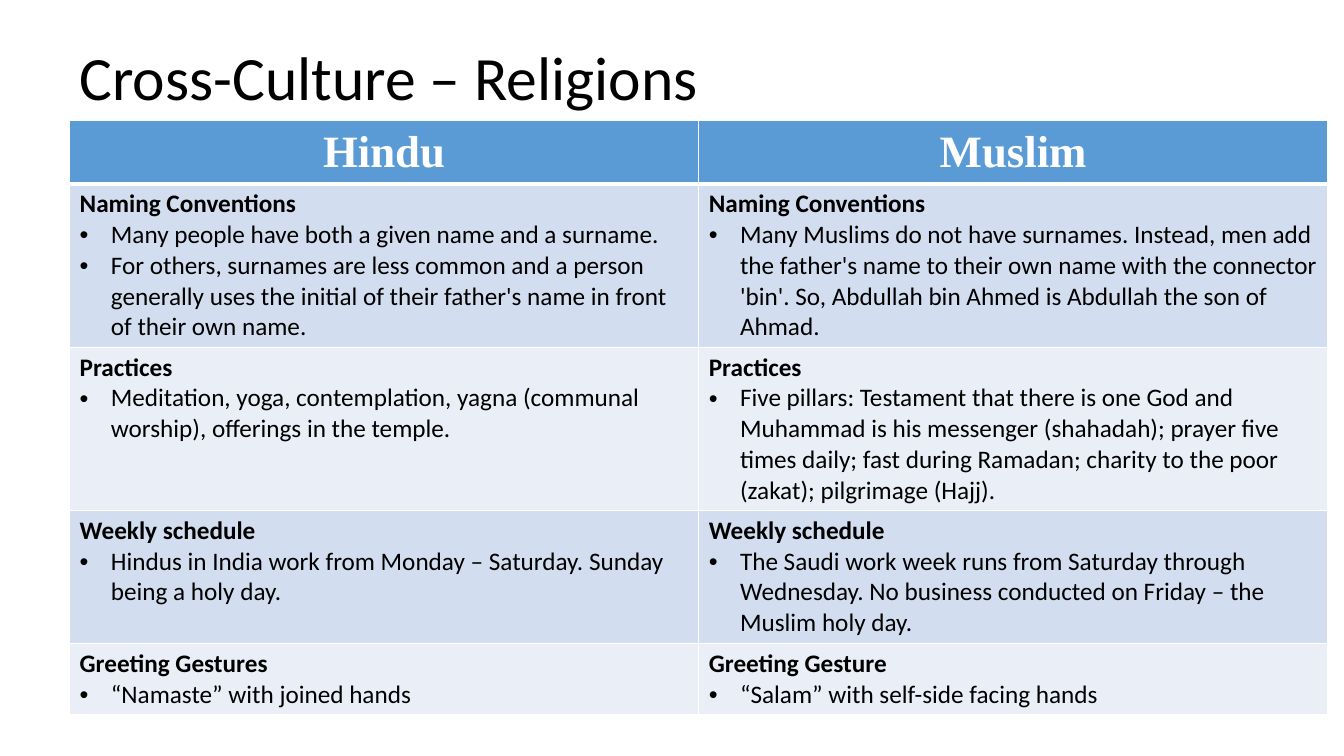
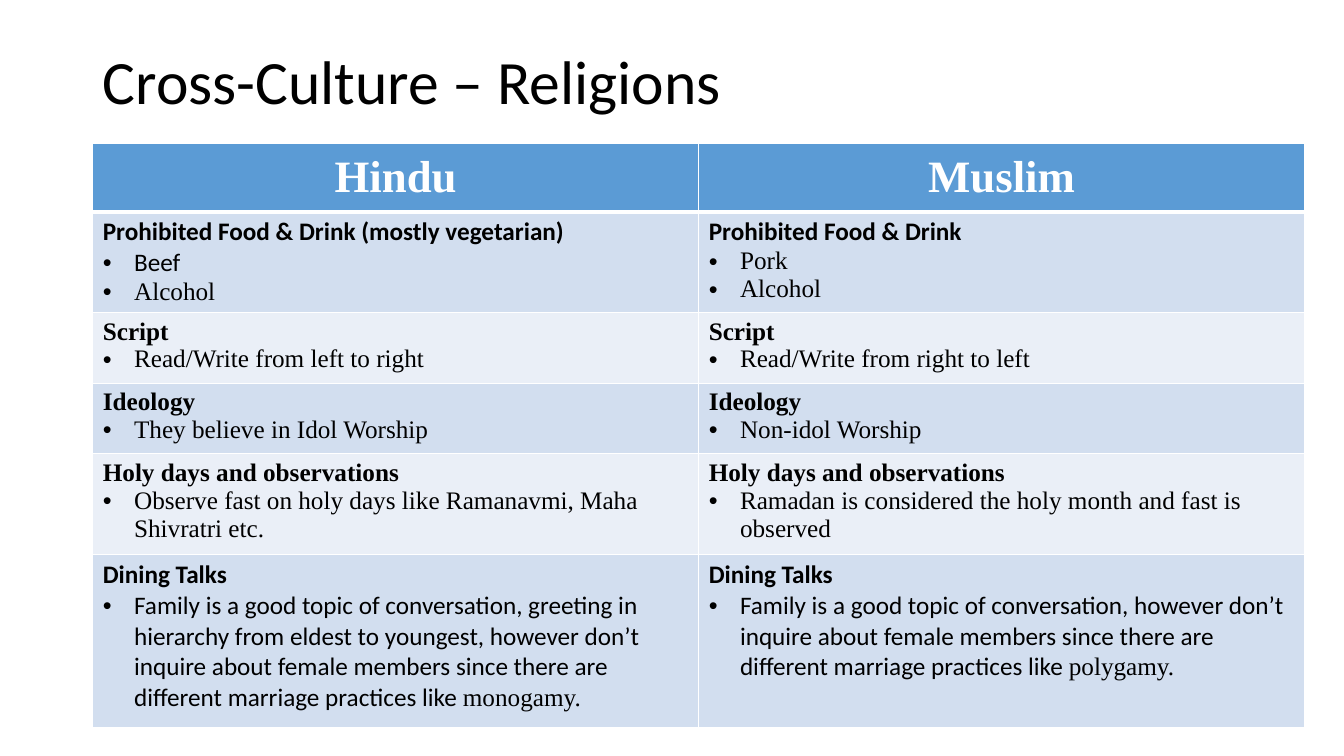
from lxml.etree import SubElement
from pptx import Presentation
from pptx.dml.color import RGBColor
from pptx.enum.text import MSO_ANCHOR, PP_ALIGN
from pptx.oxml import parse_xml
from pptx.oxml.ns import nsdecls, qn
from pptx.util import Inches, Pt

SANS, SERIF = "Calibri", "Times New Roman"
BLACK, WHITE = "000000", "FFFFFF"
HEADER_FILL = "5B9BD5"
BAND_FILLS = ("D2DEEF", "EAEFF7")
TITLE = "Cross-Culture – Religions"
RELIGIONS = ("Hindu", "Muslim")
INDENT = Inches(0.31)


def color(hex_text):
    return RGBColor.from_string(hex_text)


def serif(text):
    return text, SERIF


# Each row holds one cell per religion; a cell is a heading and its bullets.
# A paragraph is a string, a serif run, or a list of such runs.
CUSTOMS = [
    (["Naming Conventions",
      "Many people have both a given name and a surname.",
      "For others, surnames are less common and a person generally uses the "
      "initial of their father's name in front of their own name."],
     ["Naming Conventions",
      "Many Muslims do not have surnames. Instead, men add the father's name "
      "to their own name with the connector 'bin'. So, Abdullah bin Ahmed is "
      "Abdullah the son of Ahmad."]),
    (["Practices",
      "Meditation, yoga, contemplation, yagna (communal worship), offerings "
      "in the temple."],
     ["Practices",
      "Five pillars: Testament that there is one God and Muhammad is his "
      "messenger (shahadah); prayer five times daily; fast during Ramadan; "
      "charity to the poor (zakat); pilgrimage (Hajj)."]),
    (["Weekly schedule",
      "Hindus in India work from Monday – Saturday. Sunday being a holy day."],
     ["Weekly schedule",
      "The Saudi work week runs from Saturday through Wednesday. No business "
      "conducted on Friday – the Muslim holy day."]),
    (["Greeting Gestures", "“Namaste” with joined hands"],
     ["Greeting Gesture", "“Salam” with self-side facing hands"]),
]

BELIEFS = [
    (["Prohibited Food & Drink (mostly vegetarian)", "Beef", serif("Alcohol")],
     ["Prohibited Food & Drink", serif("Pork"), serif("Alcohol")]),
    ([serif("Script"), serif("Read/Write from left to right")],
     [serif("Script"), serif("Read/Write from right to left")]),
    ([serif("Ideology"), serif("They believe in Idol Worship")],
     [serif("Ideology"), serif("Non-idol Worship")]),
    ([serif("Holy days and observations"),
      serif("Observe fast on holy days like Ramanavmi, Maha Shivratri etc.")],
     [serif("Holy days and observations"),
      serif("Ramadan is considered the holy month and fast is observed")]),
    (["Dining Talks",
      ["Family is a good topic of conversation, greeting in hierarchy from "
       "eldest to youngest, however don’t inquire about female members since "
       "there are different marriage practices like ", serif("monogamy.")]],
     ["Dining Talks",
      ["Family is a good topic of conversation, however don’t inquire about "
       "female members since there are different marriage practices like ",
       serif("polygamy.")]]),
]


def write(paragraph, content, size=18, ink=BLACK, bold=False,
          align=PP_ALIGN.LEFT, spacing=None, bullet=False):
    """Fill a paragraph with formatted runs."""
    paragraph.alignment = align
    if spacing:
        paragraph.line_spacing = spacing
    if bullet:
        properties = paragraph._p.get_or_add_pPr()
        properties.set("marL", str(INDENT))
        properties.set("indent", str(-INDENT))
        SubElement(properties, qn("a:buFont")).set("typeface", "Arial")
        SubElement(properties, qn("a:buChar")).set("char", "•")
    for part in content if isinstance(content, list) else [content]:
        text, font = part if isinstance(part, tuple) else (part, SANS)
        run = paragraph.add_run()
        run.text = text
        run.font.name = font
        run.font.size = Pt(size)
        run.font.bold = bold
        run.font.color.rgb = color(ink)


def style_cell(cell, fill, top=1, bottom=1):
    """Set the fill and the white borders of a cell."""
    cell.fill.solid()
    cell.fill.fore_color.rgb = color(fill)
    widths = {"lnL": 1, "lnR": 1, "lnT": top, "lnB": bottom}
    for position, (side, width) in enumerate(widths.items()):
        border = parse_xml(
            f'<a:{side} {nsdecls("a")} w="{Pt(width)}"><a:solidFill>'
            f'<a:srgbClr val="{WHITE}"/></a:solidFill></a:{side}>')
        cell._tc.get_or_add_tcPr().insert(position, border)


def add_title(slide, left, top, height):
    box = slide.shapes.add_textbox(
        Inches(left), Inches(top), Inches(11.5), Inches(height))
    frame = box.text_frame
    frame.word_wrap = True
    frame.vertical_anchor = MSO_ANCHOR.MIDDLE
    write(frame.paragraphs[0], TITLE, size=44, spacing=0.9)


def add_comparison(slide, left, top, width, heights, rows):
    table = slide.shapes.add_table(
        len(heights), len(RELIGIONS), Inches(left), Inches(top),
        Inches(width), Inches(sum(heights))).table
    table.horz_banding = False
    for table_row, height in zip(table.rows, heights):
        table_row.height = Inches(height)

    # Header row
    for column, religion in enumerate(RELIGIONS):
        header = table.cell(0, column)
        style_cell(header, HEADER_FILL, bottom=3)
        header.vertical_anchor = MSO_ANCHOR.MIDDLE
        write(header.text_frame.paragraphs[0], serif(religion), size=32,
              ink=WHITE, bold=True, align=PP_ALIGN.CENTER)

    # Banded topic rows
    for row, topics in enumerate(rows, start=1):
        for column, (heading, *bullets) in enumerate(topics):
            cell = table.cell(row, column)
            style_cell(cell, BAND_FILLS[(row - 1) % 2], top=3 if row == 1 else 1)
            frame = cell.text_frame
            write(frame.paragraphs[0], heading, bold=True)
            for item in bullets:
                write(frame.add_paragraph(), item, bullet=True)


def main():
    deck = Presentation()
    deck.slide_width, deck.slide_height = Inches(13.33), Inches(7.5)
    blank = deck.slide_layouts[6]

    # Names, practices, week and greetings
    customs = deck.slides.add_slide(blank)
    add_title(customs, 0.69, 0.2, 1.2)
    add_comparison(customs, 0.69, 1.19, 12.48,
                   [0.59, 1.62, 1.62, 1.32, 0.71], CUSTOMS)

    # Food, script, ideology, holy days and dining
    beliefs = deck.slides.add_slide(blank)
    add_title(beliefs, 0.92, 0.4, 0.88)
    add_comparison(beliefs, 0.92, 1.42, 12.02,
                   [0.68, 1, 0.65, 0.65, 0.93, 1.72], BELIEFS)

    deck.save("out.pptx")


if __name__ == "__main__":
    main()
